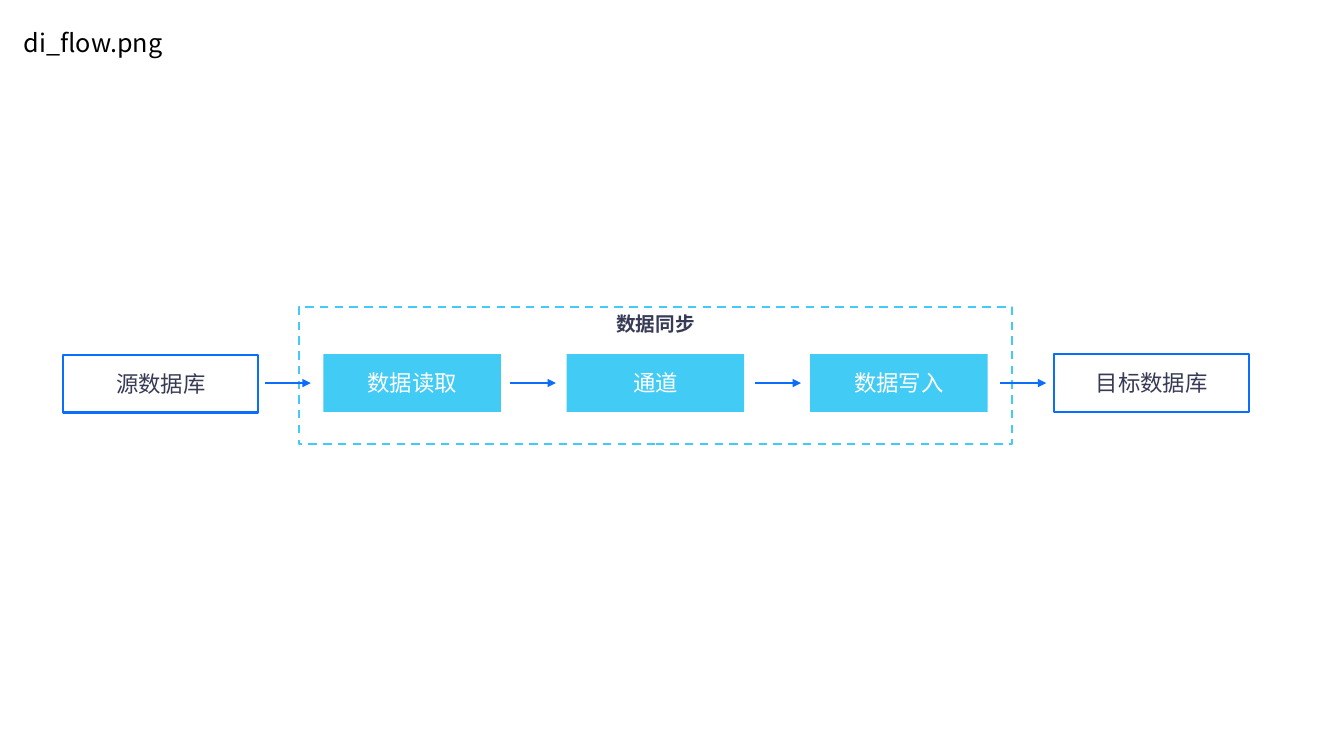
from dataclasses import dataclass

from lxml.etree import SubElement
from pptx import Presentation
from pptx.dml.color import RGBColor
from pptx.enum.dml import MSO_LINE
from pptx.enum.shapes import MSO_CONNECTOR, MSO_SHAPE
from pptx.enum.text import MSO_ANCHOR, PP_ALIGN
from pptx.oxml.ns import qn
from pptx.util import Pt


@dataclass(frozen=True)
class Theme:
    blue: str = "0A6EFA"
    cyan_line: str = "42CBF6"
    cyan_fill: str = "42CBF5"
    ink: str = "383B55"
    white: str = "FFFFFF"
    black: str = "000000"
    latin_font: str = "Roboto"
    chinese_font: str = "Noto Sans CJK SC"
    title_size: int = 18
    box_size: int = 16
    frame_size: int = 14
    line_width: float = 1.5


class FlowSlide:
    def __init__(self, slide, theme):
        self.slide = slide
        self.theme = theme

    def add_text(self, text_frame, text, size, color, font, bold=False):
        run = text_frame.paragraphs[0].add_run()
        run.text = text
        run.font.size = Pt(size)
        run.font.bold = bold
        run.font.name = font
        run.font.color.rgb = RGBColor.from_string(color)
        east_asian = SubElement(run.font._element, qn("a:ea"))
        east_asian.set("typeface", self.theme.chinese_font)

    def title(self, text, left, top, width, height):
        shape = self.slide.shapes.add_textbox(Pt(left), Pt(top), Pt(width), Pt(height))
        shape.text_frame.word_wrap = True
        self.add_text(shape.text_frame, text, self.theme.title_size,
                      self.theme.black, self.theme.chinese_font)

    def rectangle(self, text, left, top, width, height, size, color,
                  fill=None, line=None, dashed=False, bold=False, anchor=MSO_ANCHOR.MIDDLE):
        shape = self.slide.shapes.add_shape(
            MSO_SHAPE.RECTANGLE, Pt(left), Pt(top), Pt(width), Pt(height))
        shape.shadow.inherit = False
        if fill:
            shape.fill.solid()
            shape.fill.fore_color.rgb = RGBColor.from_string(fill)
        else:
            shape.fill.background()
        if line:
            shape.line.color.rgb = RGBColor.from_string(line)
            shape.line.width = Pt(self.theme.line_width)
        else:
            shape.line.fill.background()
        if dashed:
            shape.line.dash_style = MSO_LINE.DASH
        text_frame = shape.text_frame
        text_frame.word_wrap = True
        text_frame.vertical_anchor = anchor
        text_frame.paragraphs[0].alignment = PP_ALIGN.CENTER
        self.add_text(text_frame, text, size, color, self.theme.latin_font, bold)

    def frame(self, text, left, top, width, height):
        self.rectangle(text, left, top, width, height, self.theme.frame_size, self.theme.ink,
                       line=self.theme.cyan_line, dashed=True, bold=True,
                       anchor=MSO_ANCHOR.TOP)

    def database(self, text, left, top, width, height):
        self.rectangle(text, left, top, width, height, self.theme.box_size, self.theme.ink,
                       line=self.theme.blue)

    def step(self, text, left, top, width, height):
        self.rectangle(text, left, top, width, height, self.theme.box_size, self.theme.white,
                       fill=self.theme.cyan_fill)

    def arrow(self, left, y, length):
        connector = self.slide.shapes.add_connector(
            MSO_CONNECTOR.STRAIGHT, Pt(left), Pt(y), Pt(left + length), Pt(y))
        connector.line.color.rgb = RGBColor.from_string(self.theme.blue)
        connector.line.width = Pt(self.theme.line_width)
        properties = connector._element.spPr
        SubElement(properties.find(qn("a:ln")), qn("a:tailEnd")).set("type", "triangle")
        SubElement(properties, qn("a:effectLst"))


def main():
    presentation = Presentation()
    presentation.slide_width = Pt(960)
    presentation.slide_height = Pt(540)
    slide = presentation.slides.add_slide(presentation.slide_layouts[6])
    flow = FlowSlide(slide, Theme())

    flow.title("di_flow.png", 10, 16, 292, 29)
    flow.frame("数据同步", 213.3, 219.5, 509.8, 98)

    box_top, box_height = 253, 41.2
    flow.database("源数据库", 45.2, box_top + 0.5, 139.4, box_height)
    flow.database("目标数据库", 753, box_top, 139.4, box_height)
    for index, text in enumerate(("数据读取", "通道", "数据写入")):
        flow.step(text, 231 + 173.8 * index, box_top, 126.8, box_height)
    for index in range(4):
        flow.arrow(189 + 175.1 * index, box_top + box_height / 2, 33)

    presentation.save("out.pptx")


if __name__ == "__main__":
    main()
